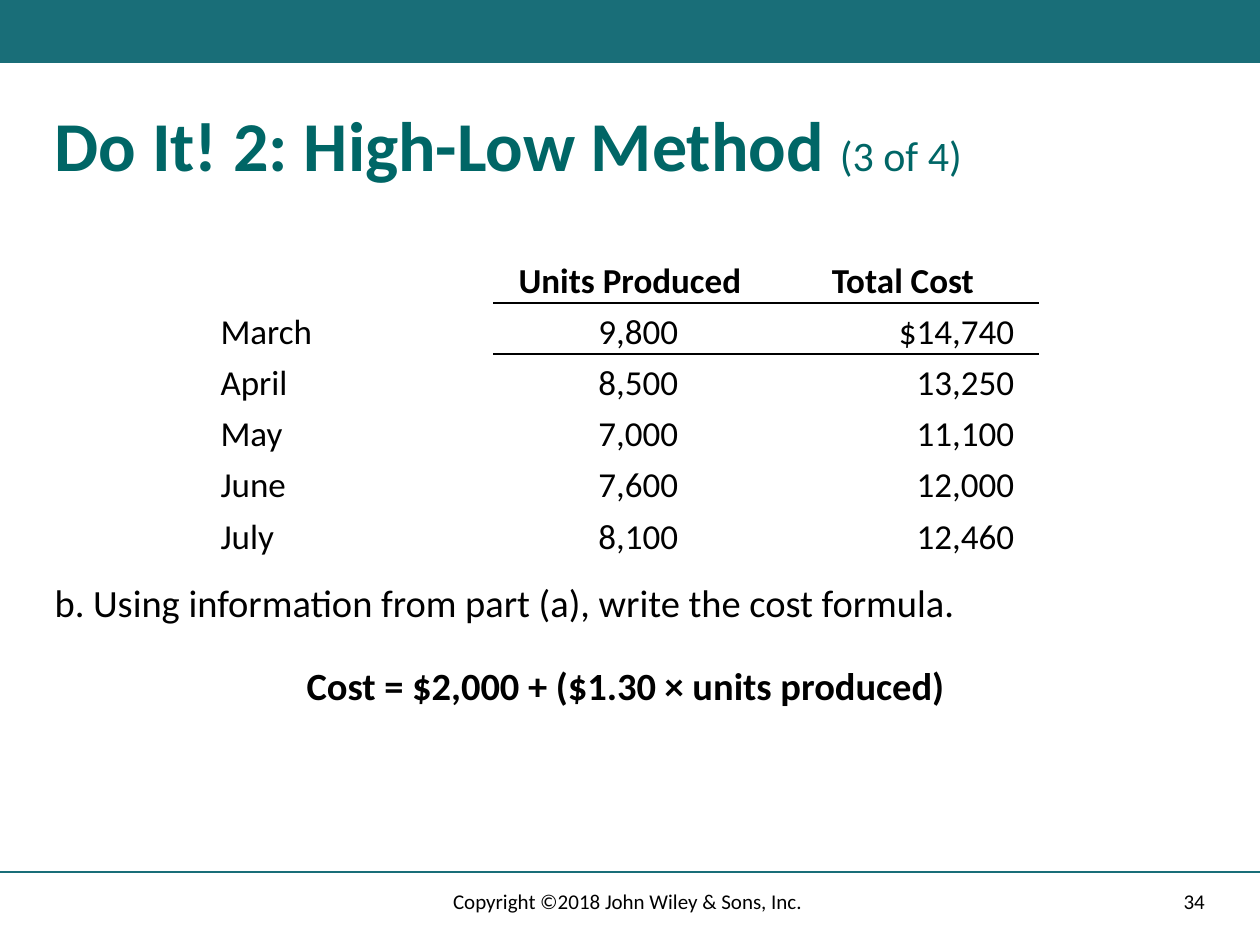
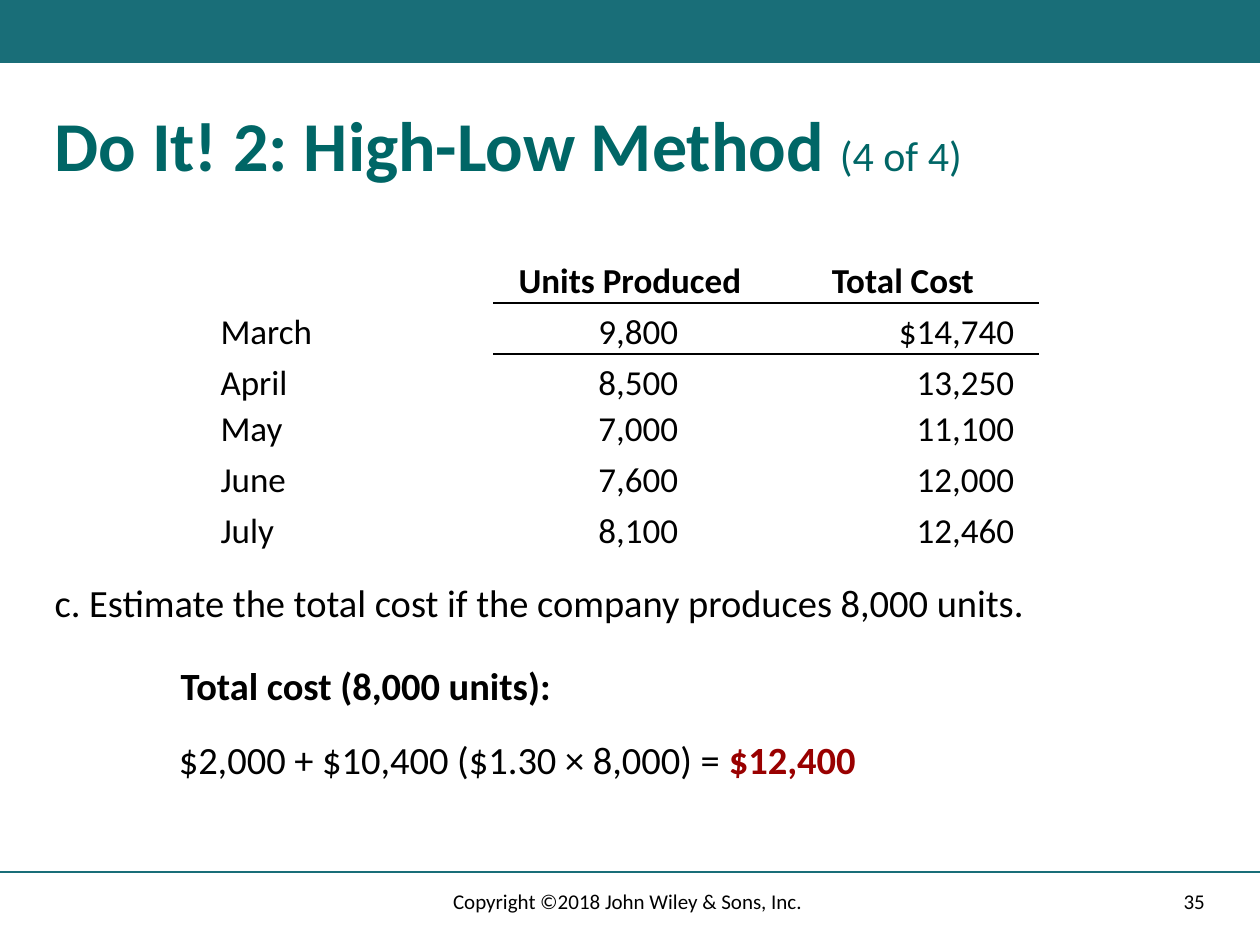
from dataclasses import dataclass
from typing import Sequence

import pptx
import pptx.dml.color
import pptx.enum.shapes
import pptx.enum.text
import pptx.oxml.ns
import pptx.presentation
import pptx.shapes.base
import pptx.slide
import pptx.table
import pptx.text.text
import pptx.util
from lxml import etree

Pt = pptx.util.Pt
Align = pptx.enum.text.PP_ALIGN
Anchor = pptx.enum.text.MSO_ANCHOR

COLOURS = {
    "band": "196E78",
    "title": "006666",
    "text": "000000",
    "answer": "990000",
}
FONT = "Calibri"
SLIDE_WIDTH, SLIDE_HEIGHT = 720, 540
BAND_HEIGHT = 36
FOOTER_LINE_TOP = 498.25
COMPARISON_LAYOUT = 4
NO_GRID_STYLE = "{2D5ABB26-0587-4C30-8999-92F81FD0307C}"
TITLE = "Do It! 2: High-Low Method "
COPYRIGHT = "Copyright ©2018 John Wiley & Sons, Inc. "

COST_ROWS = [
    ("", "Units Produced", "Total Cost"),
    ("March", "9,800", "$14,740"),
    ("April", "8,500", "13,250"),
    ("May", "7,000", "11,100"),
    ("June", "7,600", "12,000"),
    ("July", "8,100", "12,460"),
]
COLUMN_WIDTH = 156
ROW_HEIGHT = 29.2
RIGHT_MARGINS = (0, 50.4, 14.4)
RULED_ROWS = 2


@dataclass(frozen=True)
class Box:
    left: float
    top: float
    width: float
    height: float


@dataclass(frozen=True)
class Span:
    text: str
    size: float = 22
    bold: bool = False
    colour: str = "text"


@dataclass(frozen=True)
class BodyLine:
    box: Box
    spans: Sequence[Span]


@dataclass(frozen=True)
class Exercise:
    counter: str
    number: str
    lines: Sequence[BodyLine]
    may_height: float = ROW_HEIGHT


TITLE_BOX = Box(24, 60, 672, 78)
QUESTION_BOX = Box(24, 330, 672, 27)
COPYRIGHT_BOX = Box(238.5, 500.5, 243, 29)
NUMBER_BOX = Box(508.5, 500.5, 187, 29)

EXERCISES = [
    Exercise("(3 of 4)", "34", [
        BodyLine(QUESTION_BOX, [
            Span("b. Using information from part (a), write the cost formula.")]),
        BodyLine(Box(168, 377.5, 384, 29), [
            Span("Cost = $2,000 + ($1.30 × units produced)", bold=True)]),
    ]),
    Exercise("(4 of 4)", "35", [
        BodyLine(QUESTION_BOX, [
            Span("c. Estimate the total cost if the company produces 8,000 units.")]),
        BodyLine(Box(96, 377.5, 600, 30), [
            Span("Total cost (8,000 units):", bold=True)]),
        BodyLine(Box(95, 420, 600, 30), [
            Span("$2,000 + $10,400 ($1.30 × 8,000) = "),
            Span("$12,400", bold=True, colour="answer")]),
    ], may_height=25.9),
]


def colour(name: str) -> pptx.dml.color.RGBColor:
    return pptx.dml.color.RGBColor.from_string(COLOURS[name])


def place(shape: pptx.shapes.base.BaseShape, box: Box) -> None:
    shape.left, shape.top = Pt(box.left), Pt(box.top)
    shape.width, shape.height = Pt(box.width), Pt(box.height)


def write_spans(paragraph: pptx.text.text._Paragraph, spans: Sequence[Span],
                alignment: Align = Align.LEFT) -> None:
    paragraph.alignment = alignment
    for span in spans:
        run = paragraph.add_run()
        run.text = span.text
        run.font.name = FONT
        run.font.size = Pt(span.size)
        run.font.bold = span.bold
        run.font.color.rgb = colour(span.colour)


def fill_placeholder(shape: pptx.shapes.base.BaseShape, box: Box,
                     spans: Sequence[Span]) -> None:
    place(shape, box)
    frame = shape.text_frame
    frame.word_wrap = True
    frame.auto_size = pptx.enum.text.MSO_AUTO_SIZE.NONE
    frame.vertical_anchor = Anchor.TOP
    paragraph = frame.paragraphs[0]
    paragraph.line_spacing = 0.9
    paragraph.space_before = Pt(0)
    properties = paragraph._p.get_or_add_pPr()
    properties.set("marL", "0")
    properties.set("indent", "0")
    etree.SubElement(properties, pptx.oxml.ns.qn("a:buNone"))
    write_spans(paragraph, spans)


def add_line(slide: pptx.slide.Slide, top: float) -> None:
    line = slide.shapes.add_connector(
        pptx.enum.shapes.MSO_CONNECTOR.STRAIGHT,
        Pt(0), Pt(top), Pt(SLIDE_WIDTH), Pt(top))
    line.line.color.rgb = colour("band")
    line.line.width = Pt(1)
    etree.SubElement(line._element.spPr, pptx.oxml.ns.qn("a:effectLst"))


def add_footer_text(slide: pptx.slide.Slide, box: Box, text: str,
                    alignment: Align) -> None:
    shape = slide.shapes.add_textbox(
        Pt(box.left), Pt(box.top), Pt(box.width), Pt(box.height))
    shape.text_frame.word_wrap = True
    shape.text_frame.vertical_anchor = Anchor.MIDDLE
    write_spans(shape.text_frame.paragraphs[0], [Span(text, size=12)], alignment)


def add_frame(slide: pptx.slide.Slide, number: str) -> None:
    """Draw the top band and the footer shared by all slides."""
    band = slide.shapes.add_shape(
        pptx.enum.shapes.MSO_SHAPE.RECTANGLE,
        Pt(0), Pt(0), Pt(SLIDE_WIDTH), Pt(BAND_HEIGHT))
    band.shadow.inherit = False
    band.fill.solid()
    band.fill.fore_color.rgb = colour("band")
    band.line.fill.background()
    add_line(slide, FOOTER_LINE_TOP)
    add_footer_text(slide, NUMBER_BOX, number, Align.RIGHT)
    add_footer_text(slide, COPYRIGHT_BOX, COPYRIGHT, Align.CENTER)


def add_bottom_border(cell: pptx.table._Cell) -> None:
    qn = pptx.oxml.ns.qn
    border = etree.Element(qn("a:lnB"), w=str(Pt(1)))
    fill = etree.SubElement(border, qn("a:solidFill"))
    etree.SubElement(fill, qn("a:srgbClr"), val=COLOURS["text"])
    cell._tc.get_or_add_tcPr().insert(0, border)


def add_cost_table(slide: pptx.slide.Slide, may_height: float) -> None:
    frame = slide.shapes.add_table(
        len(COST_ROWS), len(RIGHT_MARGINS), Pt(126), Pt(144),
        Pt(COLUMN_WIDTH * len(RIGHT_MARGINS)), Pt(ROW_HEIGHT * len(COST_ROWS)))
    table = frame.table
    table.first_row = table.horz_banding = False
    table._tbl.tblPr.find(pptx.oxml.ns.qn("a:tableStyleId")).text = NO_GRID_STYLE
    for column in table.columns:
        column.width = Pt(COLUMN_WIDTH)
    for row_index, values in enumerate(COST_ROWS):
        header = row_index == 0
        table.rows[row_index].height = Pt(
            may_height if values[0] == "May" else ROW_HEIGHT)
        for column_index, value in enumerate(values):
            cell = table.cell(row_index, column_index)
            cell.fill.background()
            cell.vertical_anchor = Anchor.BOTTOM
            cell.margin_left = cell.margin_top = cell.margin_bottom = Pt(0)
            cell.margin_right = Pt(0 if header else RIGHT_MARGINS[column_index])
            if column_index == 0:
                alignment = Align.LEFT
            else:
                alignment = Align.CENTER if header else Align.RIGHT
                if row_index < RULED_ROWS:
                    add_bottom_border(cell)
            if value:
                write_spans(cell.text_frame.paragraphs[0],
                            [Span(value, size=20, bold=header)], alignment)


def add_exercise(presentation: pptx.presentation.Presentation,
                 exercise: Exercise) -> None:
    slide = presentation.slides.add_slide(
        presentation.slide_layouts[COMPARISON_LAYOUT])
    title, *bodies = list(slide.placeholders)

    # Title and text lines
    fill_placeholder(title, TITLE_BOX, [
        Span(TITLE, size=40, bold=True, colour="title"),
        Span(exercise.counter, size=24, colour="title")])
    for body, line in zip(bodies, exercise.lines):
        fill_placeholder(body, line.box, line.spans)
    for unused in bodies[len(exercise.lines):]:
        unused._element.getparent().remove(unused._element)

    # Table, band and footer
    add_cost_table(slide, exercise.may_height)
    add_frame(slide, exercise.number)


def main() -> None:
    presentation = pptx.Presentation()
    presentation.slide_width = Pt(SLIDE_WIDTH)
    presentation.slide_height = Pt(SLIDE_HEIGHT)
    for exercise in EXERCISES:
        add_exercise(presentation, exercise)
    presentation.save("out.pptx")


if __name__ == "__main__":
    main()
